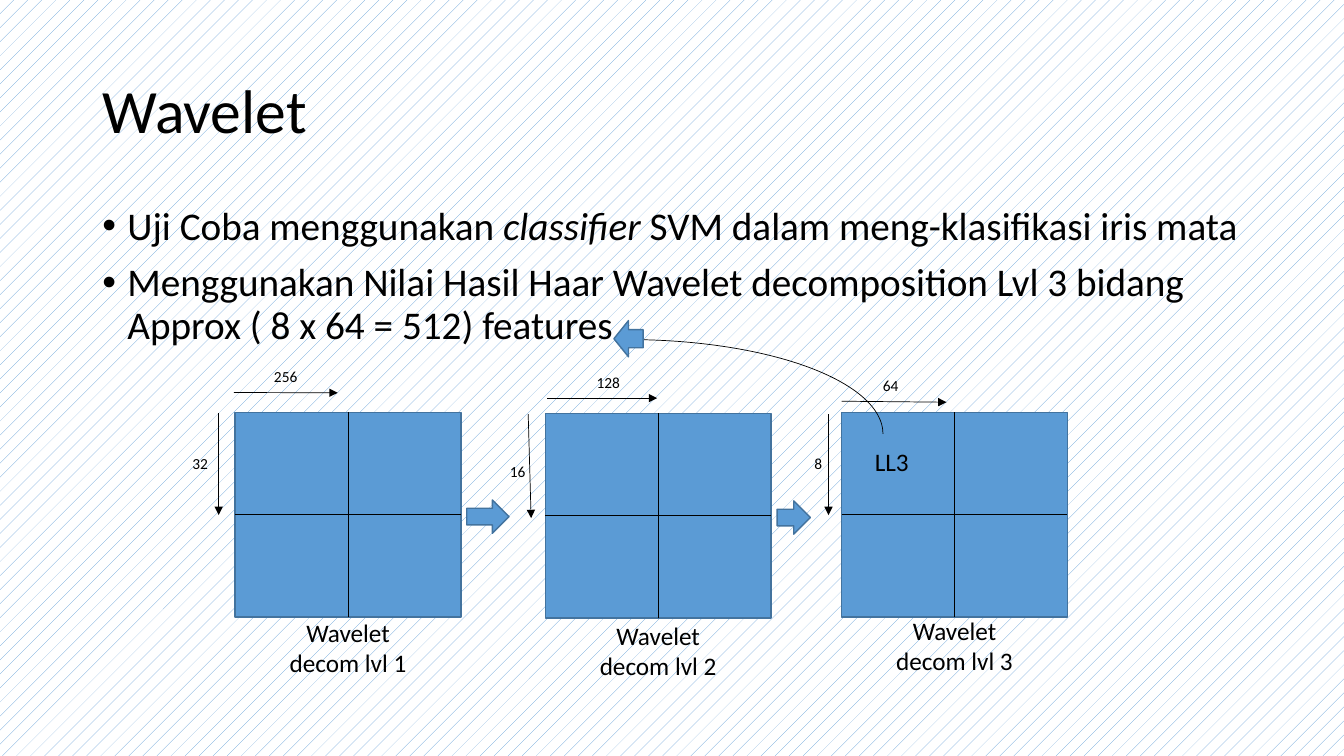
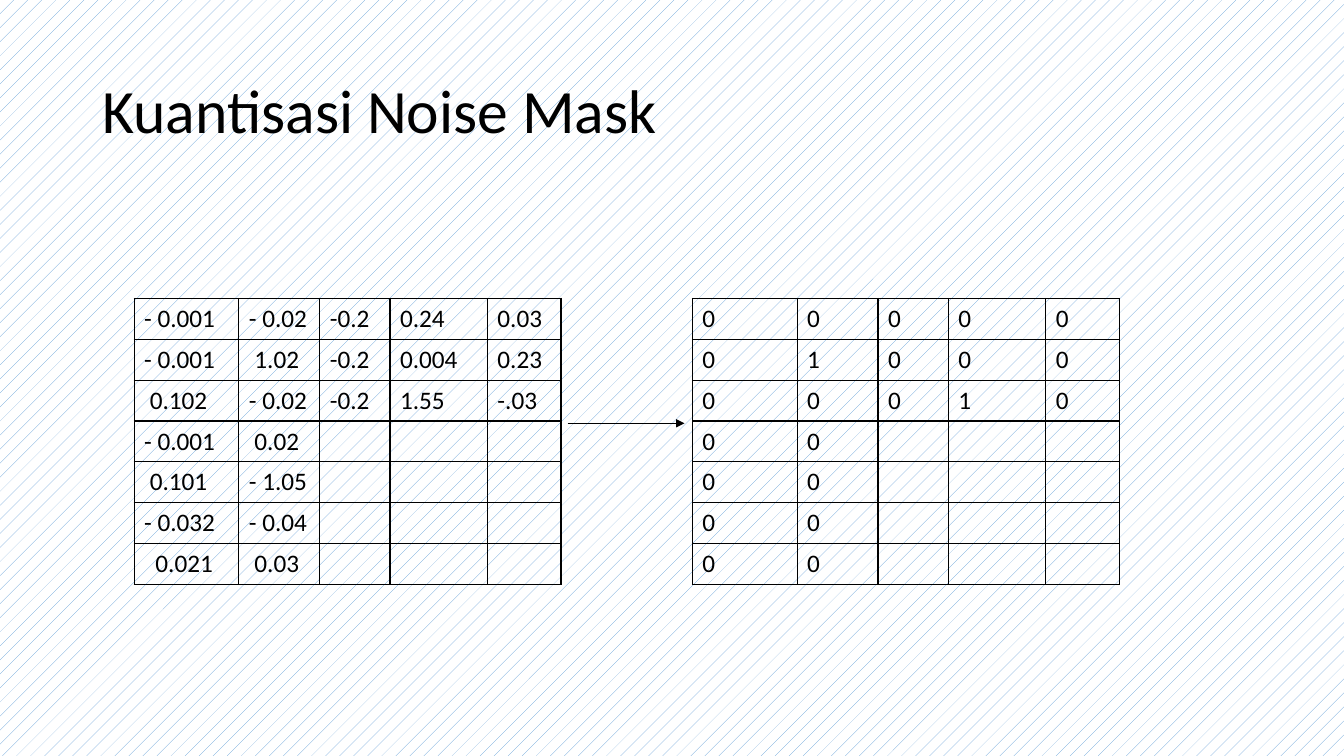
import pptx
import pptx.util
import pptx.dml.color
import pptx.enum.dml
import pptx.enum.shapes
import pptx.enum.text
import pptx.oxml
import pptx.oxml.ns
import lxml.etree

Pt = pptx.util.Pt
RGBColor = pptx.dml.color.RGBColor
SHAPE = pptx.enum.shapes.MSO_SHAPE
ANCHOR = pptx.enum.text.MSO_ANCHOR
ALIGN = pptx.enum.text.PP_ALIGN
qn = pptx.oxml.ns.qn

COLORS = {"ink": "000000", "paper": "FFFFFF", "blue": "5B9BD5", "edge": "43739E"}
FONT = "Calibri"


def write(paragraph, text, size=18, italic=False, align=ALIGN.LEFT):
    paragraph.alignment = align
    run = paragraph.add_run()
    run.text = text
    run.font.name = FONT
    run.font.size = Pt(size)
    run.font.italic = italic
    run.font.color.rgb = RGBColor.from_string(COLORS["ink"])


def draw_line(shapes, x1, y1, x2, y2, arrow=False):
    line = shapes.add_connector(
        pptx.enum.shapes.MSO_CONNECTOR.STRAIGHT, Pt(x1), Pt(y1), Pt(x2), Pt(y2))
    line.line.width = Pt(0.5)
    line.line.color.rgb = RGBColor.from_string(COLORS["ink"])
    properties = line._element.spPr
    if arrow:
        lxml.etree.SubElement(properties.find(qn("a:ln")), qn("a:tailEnd"), type="triangle")
    lxml.etree.SubElement(properties, qn("a:effectLst"))
    return line


deck = pptx.Presentation()
deck.slide_width = Pt(960)
deck.slide_height = Pt(540)

backdrop = deck.slide_master.background.fill
backdrop.patterned()
backdrop.pattern = pptx.enum.dml.MSO_PATTERN.PERCENT_5
backdrop.fore_color.rgb = RGBColor.from_string(COLORS["blue"])
backdrop.back_color.rgb = RGBColor.from_string(COLORS["paper"])

slides = []
for heading in ("Wavelet", "Kuantisasi Noise Mask"):
    slide = deck.slides.add_slide(deck.slide_layouts[5])
    title = slide.shapes.title
    title.left, title.top, title.width, title.height = Pt(66), Pt(28.8), Pt(828), Pt(104.4)
    title.text_frame.vertical_anchor = ANCHOR.MIDDLE
    title.text_frame.auto_size = pptx.enum.text.MSO_AUTO_SIZE.NONE
    title.text_frame.paragraphs[0].line_spacing = 0.9
    write(title.text_frame.paragraphs[0], heading, size=44)
    slides.append(slide)
wavelet, quantization = slides

points = wavelet.shapes.add_textbox(Pt(66), Pt(144), Pt(828), Pt(342.7)).text_frame
points.word_wrap = True
point_runs = [
    [("Uji Coba menggunakan ", False), ("classifier ", True),
     ("SVM dalam meng-klasifikasi iris mata", False)],
    [("Menggunakan Nilai Hasil Haar Wavelet decomposition Lvl 3 bidang "
      "Approx ( 8 x 64 = 512) features", False)],
]
for index, runs in enumerate(point_runs):
    point = points.add_paragraph() if index else points.paragraphs[0]
    point.line_spacing = 0.9
    point.space_before = Pt(10)
    for text, italic in runs:
        write(point, text, size=28, italic=italic)
    bullet = point._p.get_or_add_pPr()
    bullet.set("marL", str(Pt(18)))
    bullet.set("indent", str(-Pt(18)))
    lxml.etree.SubElement(bullet, qn("a:buFont"), typeface="Arial")
    lxml.etree.SubElement(bullet, qn("a:buChar"), char="•")

PANEL_W, PANEL_H = 161.3, 146.2
CAPTION_W, LABEL_H = 117.4, 20.9
levels = [
    {"left": 168, "top": 294.5, "caption_top": 452.2,
     "across": (167, 280.4, 241.2, 280.6), "down": (156.2, 295.2, 156.2, 367.9),
     "labels": [("256", 188.6, 258.5, 39.6), ("32", 130.3, 321.1, 31)]},
    {"left": 389.5, "top": 295.2, "caption_top": 454.3,
     "across": (391, 284.4, 469.4, 284.4), "down": (377.3, 295.9, 379.4, 370.1),
     "labels": [("128", 419, 262.8, 39.6), ("16", 357.1, 326.2, 31)]},
    {"left": 601.2, "top": 294.5, "caption_top": 450.7,
     "across": (601.2, 286.6, 676.1, 287.3), "down": (591.8, 295.9, 591.8, 367.9),
     "labels": [("64", 623.5, 265, 39.6), ("8", 574.6, 321.1, 31)]},
]

solids = []
for number, level in enumerate(levels, 1):
    left, top = level["left"], level["top"]
    middle_x, middle_y = left + PANEL_W / 2, top + PANEL_H / 2
    grid = wavelet.shapes.add_group_shape().shapes
    panel = grid.add_shape(SHAPE.RECTANGLE, Pt(left), Pt(top), Pt(PANEL_W), Pt(PANEL_H))
    solids.append(panel)
    column_split = draw_line(grid, middle_x, top, middle_x, top + PANEL_H)
    column_split.begin_connect(panel, 0)
    column_split.end_connect(panel, 2)
    row_split = draw_line(grid, left, middle_y, left + PANEL_W, middle_y)
    row_split.begin_connect(panel, 1)
    row_split.end_connect(panel, 3)

    caption = wavelet.shapes.add_textbox(
        Pt(middle_x - CAPTION_W / 2), Pt(level["caption_top"]),
        Pt(CAPTION_W), Pt(LABEL_H)).text_frame
    caption.word_wrap = True
    caption.vertical_anchor = ANCHOR.MIDDLE
    write(caption.paragraphs[0], f"Wavelet decom lvl {number}", align=ALIGN.CENTER)

    for direction in ("across", "down"):
        draw_line(wavelet.shapes, *level[direction], arrow=True)
    for text, x, y, width in level["labels"]:
        label = wavelet.shapes.add_textbox(Pt(x), Pt(y), Pt(width), Pt(LABEL_H)).text_frame
        label.word_wrap = True
        write(label.paragraphs[0], text, size=11)

band = wavelet.shapes.add_textbox(Pt(617.8), Pt(315.4), Pt(48.2), Pt(28.8)).text_frame
band.word_wrap = True
write(band.paragraphs[0], "LL3")

feature_arc = wavelet.shapes.add_shape(SHAPE.ARC, Pt(267.1), Pt(242.6), Pt(363.6), Pt(134.6))
feature_arc.shadow.inherit = False
feature_arc.fill.background()
feature_arc.line.color.rgb = RGBColor.from_string(COLORS["ink"])
feature_arc.line.width = Pt(0.5)

for kind, x, y, width, height in [
    (SHAPE.RIGHT_ARROW, 333.4, 357.1, 30.2, 23.8),
    (SHAPE.RIGHT_ARROW, 555.1, 357.8, 23.8, 23.8),
    (SHAPE.LEFT_ARROW, 438.5, 229, 20.9, 25.9),
]:
    solids.append(wavelet.shapes.add_shape(kind, Pt(x), Pt(y), Pt(width), Pt(height)))

for solid in solids:
    solid.shadow.inherit = False
    solid.fill.solid()
    solid.fill.fore_color.rgb = RGBColor.from_string(COLORS["blue"])
    solid.line.color.rgb = RGBColor.from_string(COLORS["edge"])
    solid.line.width = Pt(1)

COLUMN_WIDTHS = [74.8, 57.8, 50.2, 69.6, 52.6]
ROW_H = 29.15
noise_values = [
    ["- 0.001", "- 0.02", "-0.2", "0.24", "0.03"],
    ["- 0.001", " 1.02", "-0.2", "0.004", "0.23"],
    [" 0.102", "- 0.02", "-0.2", "1.55", "-.03"],
    ["- 0.001", " 0.02"],
    [" 0.101", "- 1.05"],
    ["- 0.032", "- 0.04"],
    ["  0.021", " 0.03"],
]
mask_values = [
    ["0", "0", "0", "0", "0"],
    ["0", "1", "0", "0", "0"],
    ["0", "0", "0", "1", "0"],
] + [["0", "0"]] * 4

for left, values in ((95.8, noise_values), (494.6, mask_values)):
    matrix = quantization.shapes.add_table(
        len(values), len(COLUMN_WIDTHS), Pt(left), Pt(213.1),
        Pt(sum(COLUMN_WIDTHS)), Pt(ROW_H * len(values))).table
    matrix.first_row = False
    matrix.horz_banding = False
    for column, width in zip(matrix.columns, COLUMN_WIDTHS):
        column.width = Pt(width)
    for row, row_values in zip(matrix.rows, values):
        row.height = Pt(ROW_H)
        for index, cell in enumerate(row.cells):
            properties = cell._tc.get_or_add_tcPr()
            for side in ("a:lnL", "a:lnR", "a:lnT", "a:lnB"):
                border = lxml.etree.SubElement(properties, qn(side), w=str(Pt(1)))
                ink = lxml.etree.SubElement(border, qn("a:solidFill"))
                lxml.etree.SubElement(ink, qn("a:srgbClr"), val=COLORS["ink"])
            cell.fill.background()
            if index < len(row_values):
                value = row_values[index].lstrip()
                cell.margin_left = Pt(7.2 + 4 * (len(row_values[index]) - len(value)))
                write(cell.text_frame.paragraphs[0], value)

draw_line(quantization.shapes, 405.4, 302.4, 488.9, 302.4, arrow=True)

deck.save("out.pptx")
